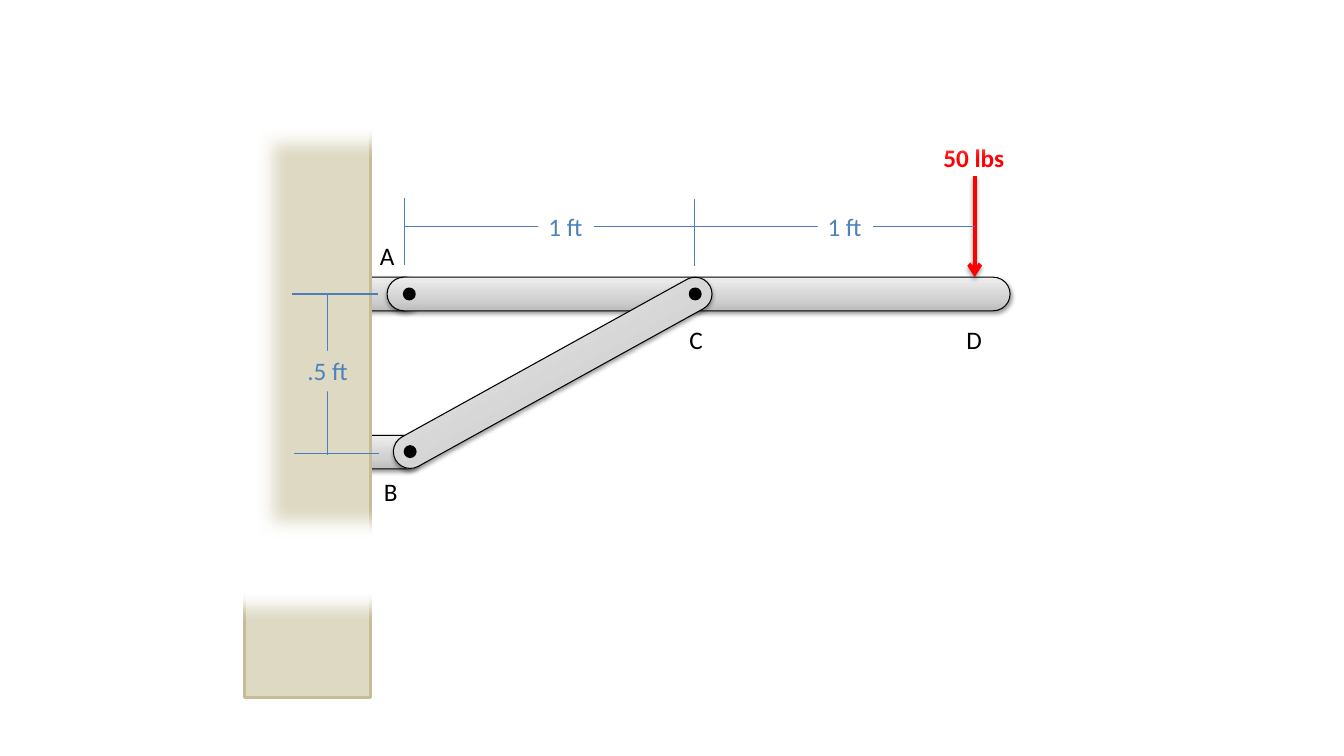
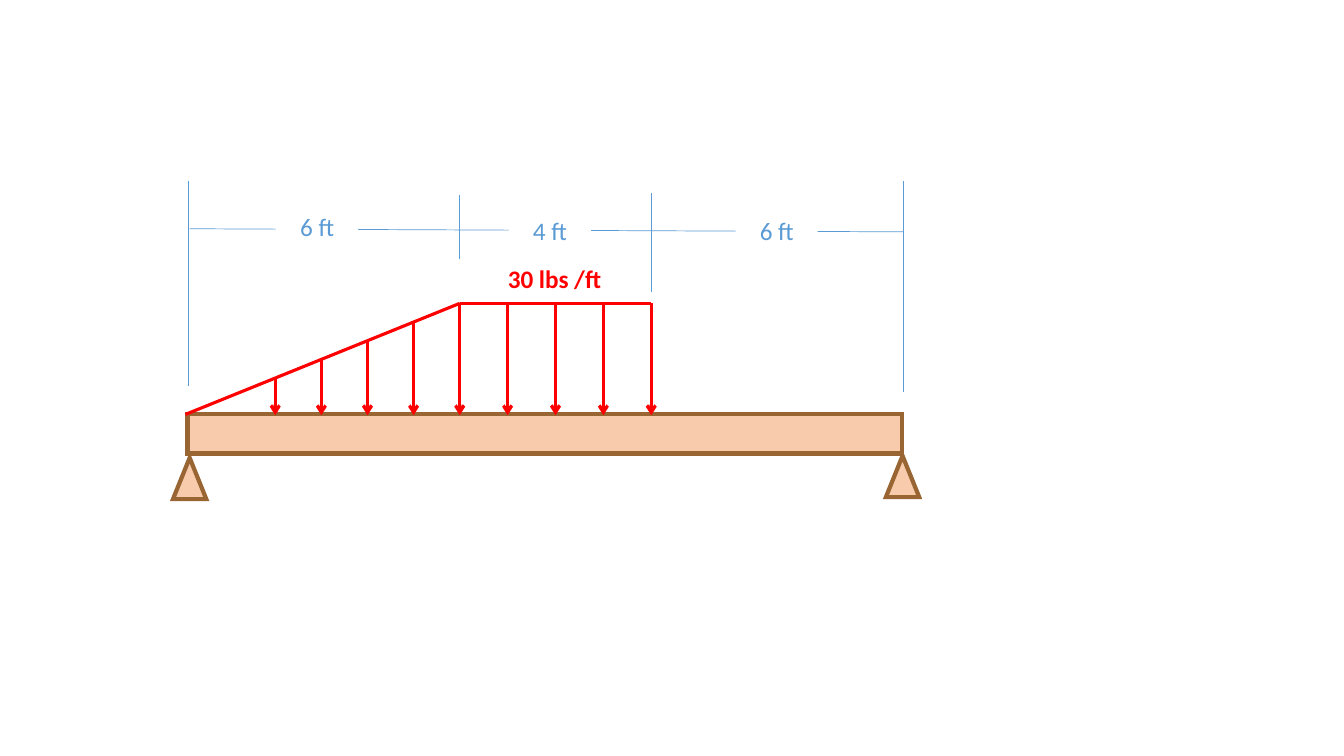
from dataclasses import dataclass
from math import atan2, degrees, hypot
from typing import NamedTuple, Optional

from lxml.etree import SubElement
from pptx import Presentation
from pptx.dml.color import RGBColor
from pptx.enum.shapes import MSO_CONNECTOR, MSO_SHAPE
from pptx.enum.text import MSO_AUTO_SIZE, PP_ALIGN
from pptx.oxml.ns import qn
from pptx.util import Pt


@dataclass(frozen=True)
class Theme:
    font: str = "Calibri"
    text_size: float = 18
    label_height: float = 29.08
    black: str = "000000"
    white: str = "FFFFFF"
    load: str = "FF0000"
    wall: str = "DDD9C3"
    wall_edge: str = "C4BD97"
    frame_dimension: str = "4B7EBC"
    frame_dimension_text: str = "4F81BD"
    beam: str = "F8CBAD"
    beam_edge: str = "996633"
    beam_dimension: str = "5B9BD5"
    steel: tuple = ((0, "BDBDBD"), (35, "D1D1D1"), (100, "EEEEEE"))


THEME = Theme()


class Point(NamedTuple):
    x: float
    y: float


class Box(NamedTuple):
    left: float
    top: float
    width: float
    height: float


class Shadow(NamedTuple):
    opacity: int
    blur: float
    distance: float


@dataclass(frozen=True)
class Stroke:
    color: str
    width: float
    arrow: bool = False
    miter: bool = False
    shadow: Optional[Shadow] = None


@dataclass(frozen=True)
class Label:
    text: str
    left: float
    top: float
    width: float
    color: str = THEME.black
    bold: bool = False
    fill: Optional[str] = None
    centered: bool = False


class Segment(NamedTuple):
    start: Point
    end: Point


BAR_SHADOW = Shadow(38, 3.15, 1.57)
FORCE_SHADOW = Shadow(35, 3.15, 1.81)
BAR_EDGE = Stroke(THEME.black, 0.75)
TIMBER_EDGE = Stroke(THEME.beam_edge, 3, miter=True)


# Drawing tools
def add_effects(shape, shadow: Optional[Shadow] = None, soft_edge: float = 0) -> None:
    properties = shape._element.spPr
    effects = properties.find(qn("a:effectLst"))
    if effects is None:
        effects = SubElement(properties, qn("a:effectLst"))
    if shadow:
        outer = SubElement(effects, qn("a:outerShdw"), blurRad=str(Pt(shadow.blur)),
                           dist=str(Pt(shadow.distance)), dir="5400000", rotWithShape="0")
        color = SubElement(outer, qn("a:srgbClr"), val=THEME.black)
        SubElement(color, qn("a:alpha"), val=str(shadow.opacity * 1000))
    if soft_edge:
        SubElement(effects, qn("a:softEdge"), rad=str(Pt(soft_edge)))


def apply_stroke(shape, stroke: Stroke) -> None:
    shape.line.color.rgb = RGBColor.from_string(stroke.color)
    shape.line.width = Pt(stroke.width)
    line = shape._element.spPr.find(qn("a:ln"))
    if stroke.miter:
        SubElement(line, qn("a:miter"), lim="800000")
    if stroke.arrow:
        SubElement(line, qn("a:tailEnd"), type="arrow")


def add_block(slide, kind: MSO_SHAPE, box: Box, fill: str, stroke: Stroke):
    shape = slide.shapes.add_shape(kind, *map(Pt, box))
    shape.shadow.inherit = False
    shape.fill.solid()
    shape.fill.fore_color.rgb = RGBColor.from_string(fill)
    apply_stroke(shape, stroke)
    return shape


def add_bar(slide, box: Box, rotation: float = 0) -> None:
    """Draw a round-ended steel bar."""
    bar = add_block(slide, MSO_SHAPE.ROUNDED_RECTANGLE, box, THEME.white, BAR_EDGE)
    bar.adjustments[0] = 0.5
    bar.rotation = rotation
    bar.fill.gradient()
    bar.fill.gradient_angle = 90
    stops = bar._element.spPr.find(qn("a:gradFill")).find(qn("a:gsLst"))
    for stop in list(stops):
        stops.remove(stop)
    for position, color in THEME.steel:
        stop = SubElement(stops, qn("a:gs"), pos=str(position * 1000))
        SubElement(stop, qn("a:srgbClr"), val=color)
    add_effects(bar, BAR_SHADOW)


def add_line(slide, segment: Segment, stroke: Stroke) -> None:
    connector = slide.shapes.add_connector(
        MSO_CONNECTOR.STRAIGHT, *map(Pt, segment.start + segment.end))
    apply_stroke(connector, stroke)
    add_effects(connector, stroke.shadow)


def add_label(slide, label: Label) -> None:
    shape = slide.shapes.add_textbox(
        Pt(label.left), Pt(label.top), Pt(label.width), Pt(THEME.label_height))
    if label.fill:
        shape.fill.solid()
        shape.fill.fore_color.rgb = RGBColor.from_string(label.fill)
    frame = shape.text_frame
    frame.word_wrap = label.centered
    frame.auto_size = MSO_AUTO_SIZE.SHAPE_TO_FIT_TEXT
    paragraph = frame.paragraphs[0]
    paragraph.alignment = PP_ALIGN.CENTER if label.centered else PP_ALIGN.LEFT
    run = paragraph.add_run()
    run.text = label.text
    formats = {"name": THEME.font, "size": Pt(THEME.text_size), "bold": label.bold}
    for name, value in formats.items():
        setattr(run.font, name, value)
    run.font.color.rgb = RGBColor.from_string(label.color)


# Slide 1: wall bracket with a strut
def build_bracket(slide) -> None:
    pin_a, pin_b, pin_c = Point(292.4, 210), Point(293, 322.6), Point(496.6, 210)
    bar_height, pin_size = 24, 7.2
    dimension = Stroke(THEME.frame_dimension, 0.75)

    # Wall mounts, wall and the soft window around the drawing
    for top in (311, 198):
        add_bar(slide, Box(224.4, top, 77.8, bar_height))
    add_block(slide, MSO_SHAPE.RECTANGLE, Box(174.4, 78, 90, 420),
              THEME.wall, Stroke(THEME.wall_edge, 2))
    add_label(slide, Label("50 lbs", 666.7, 97.9, 58.3, THEME.load, bold=True))
    window = add_block(slide, MSO_SHAPE.FRAME, Box(122.4, 30.2, 690, 414),
                       THEME.white, Stroke(THEME.white, 2))
    window.adjustments[0] = 0.2
    add_effects(window, soft_edge=12.5)

    # Beam, force and strut
    add_bar(slide, Box(276.5, 198, 445, bar_height))
    add_line(slide, Segment(Point(696.2, 126), Point(696.2, 198)),
             Stroke(THEME.load, 3, arrow=True, shadow=FORCE_SHADOW))
    rise, run = pin_c.y - pin_b.y, pin_c.x - pin_b.x
    length = hypot(rise, run) + bar_height
    add_bar(slide, Box((pin_b.x + pin_c.x - length) / 2,
                       (pin_b.y + pin_c.y - bar_height) / 2, length, bar_height),
            degrees(atan2(rise, run)) % 360)
    for pin in (pin_a, pin_b, pin_c):
        add_block(slide, MSO_SHAPE.OVAL,
                  Box(pin.x - pin_size / 2, pin.y - pin_size / 2, pin_size, pin_size),
                  THEME.black, Stroke(THEME.black, 2))

    # Dimension lines
    for segment in (
        Segment(Point(288.7, 162), Point(696.2, 162)),
        Segment(Point(288.7, 141.2), Point(288.7, 189.2)),
        Segment(Point(496.1, 142.4), Point(496.1, 190)),
        Segment(Point(234, 209.6), Point(234, 325.2)),
        Segment(Point(208.9, 210), Point(270, 210)),
        Segment(Point(210, 324), Point(270.6, 324)),
    ):
        add_line(slide, segment, dimension)

    # Labels
    blue = THEME.frame_dimension_text
    for label in (
        Label("1 ft", 384.6, 147.6, 39.6, blue, fill=THEME.white),
        Label("1 ft", 584, 147.6, 39.6, blue, fill=THEME.white),
        Label(".5 ft", 212.4, 250.6, 43.9, blue, fill=THEME.wall),
        Label("A", 264.2, 167.8, 25.2),
        Label("B", 267.1, 337, 24.5),
        Label("C", 485.3, 228.2, 24.5),
        Label("D", 683.3, 228.2, 25.9),
    ):
        add_label(slide, label)


# Slide 2: beam under a distributed load
def build_loaded_beam(slide) -> None:
    load_start, load_top, load_bottom = Point(132.5, 296), 216.7, 296.6
    peak, load_end = 328.4, 465.2
    dimension = Stroke(THEME.beam_dimension, 0.5)
    outline = Stroke(THEME.load, 2.25)
    arrow = Stroke(THEME.load, 2.25, arrow=True)

    # Beam and supports
    add_block(slide, MSO_SHAPE.RECTANGLE, Box(134, 296, 510.6, 28), THEME.beam, TIMBER_EDGE)
    for left, top in ((123.6, 327), (632.8, 325.6)):
        add_block(slide, MSO_SHAPE.ISOSCELES_TRIANGLE, Box(left, top, 23.8, 29.5),
                  THEME.beam, TIMBER_EDGE)

    # Dimension lines
    add_line(slide, Segment(Point(135.4, 163.4), Point(645.2, 165.6)), dimension)
    for x, top, bottom in ((134.2, 129.6, 275.6), (peak, 139, 185),
                           (load_end, 138.2, 208.8), (645.2, 129.6, 280)):
        add_line(slide, Segment(Point(x, bottom), Point(x, top)), dimension)

    # Load outline and arrows
    add_line(slide, Segment(Point(peak, load_top), load_start), outline)
    add_line(slide, Segment(Point(load_end, load_top), Point(peak, load_top)), outline)
    ramp_start, steps = 196.6, 4
    ramp = [ramp_start + index * (peak - ramp_start) / steps for index in range(steps)]
    level = [peak + index * (load_end - peak) / steps for index in range(steps + 1)]
    slope = (load_start.y - load_top) / (peak - load_start.x)
    for x in ramp + level:
        top = max(load_top, load_start.y - slope * (x - load_start.x))
        add_line(slide, Segment(Point(x, top), Point(x, load_bottom)), arrow)

    # Labels
    for text, left, top in (("6 ft", 197.3, 147.6), ("4 ft", 363.6, 150.5),
                            ("6 ft", 525.6, 150.5)):
        add_label(slide, Label(text, left, top, 58.5, THEME.beam_dimension,
                               fill=THEME.white, centered=True))
    add_label(slide, Label("30 lbs /ft", 355.6, 184.3, 82.8, THEME.load, bold=True))


def main() -> None:
    presentation = Presentation()
    presentation.slide_width, presentation.slide_height = Pt(960), Pt(540)
    blank = presentation.slide_layouts[6]
    for build in (build_bracket, build_loaded_beam):
        build(presentation.slides.add_slide(blank))
    presentation.save("out.pptx")


if __name__ == "__main__":
    main()
